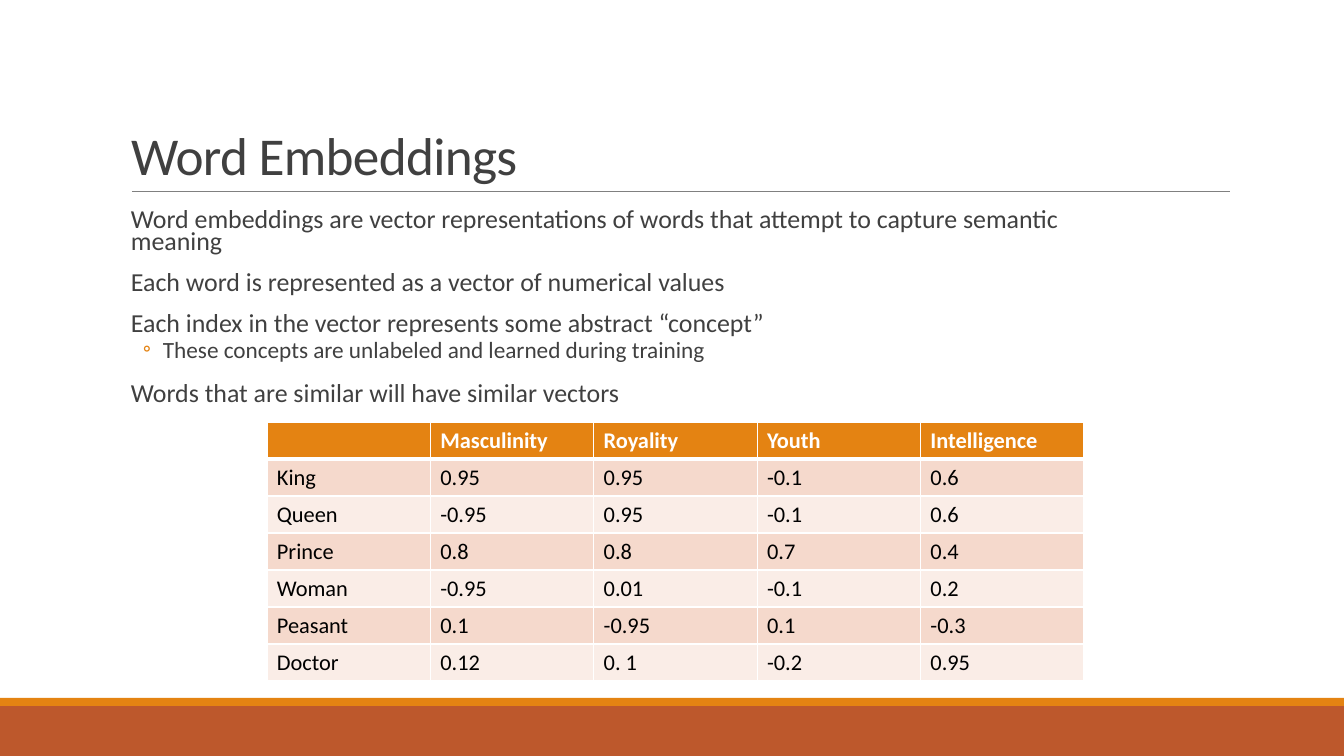
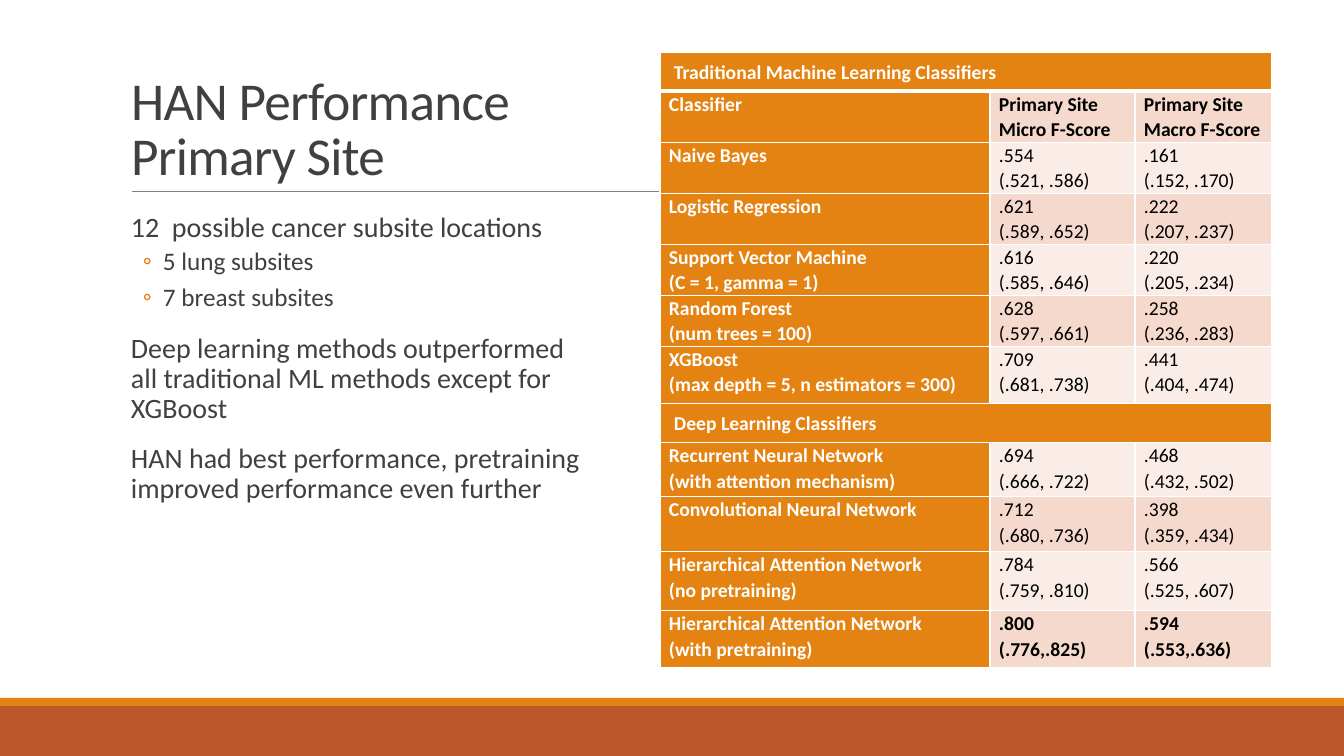
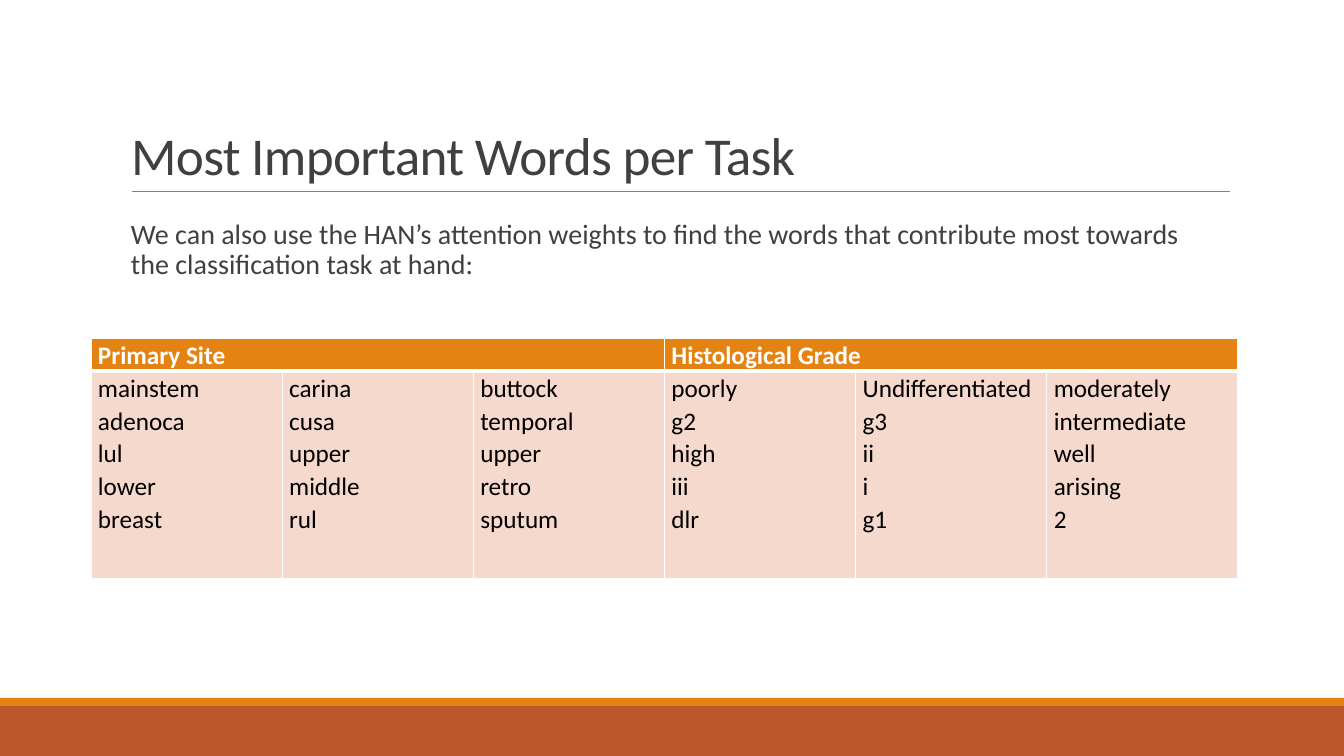
from lxml import etree
from pptx import Presentation
from pptx import util as u
from pptx.dml.color import RGBColor
from pptx.enum import shapes, text
from pptx.oxml.ns import qn

SLIDE_W, SLIDE_H = 1344, 756
EMU_PER_PX = 12192000 / SLIDE_W
FONT = "Calibri"
TITLE_ONLY = 5
WHITE = RGBColor(0xFF, 0xFF, 0xFF)
BLACK = RGBColor(0, 0, 0)
INK = RGBColor(0x40, 0x40, 0x40)
GRAY = RGBColor(0x80, 0x80, 0x80)
ORANGE = RGBColor(0xE4, 0x83, 0x12)
RUST = RGBColor(0xBD, 0x58, 0x2C)
ROW_TINTS = (RGBColor(0xFA, 0xED, 0xE7), RGBColor(0xF5, 0xD9, 0xCC))

EMBEDDING_POINTS = [
    (0, "Word embeddings are vector representations of words that attempt to capture semantic meaning"),
    (0, "Each word is represented as a vector of numerical values"),
    (0, "Each index in the vector represents some abstract “concept”"),
    (1, "These concepts are unlabeled and learned during training"),
    (0, "Words that are similar will have similar vectors"),
]
EMBEDDING_ROWS = [
    ["", "Masculinity", "Royality", "Youth", "Intelligence"],
    ["King", "0.95", "0.95", "-0.1", "0.6"],
    ["Queen", "-0.95", "0.95", "-0.1", "0.6"],
    ["Prince", "0.8", "0.8", "0.7", "0.4"],
    ["Woman", "-0.95", "0.01", "-0.1", "0.2"],
    ["Peasant", "0.1", "-0.95", "0.1", "-0.3"],
    ["Doctor", "0.12", "0. 1", "-0.2", "0.95"],
]
PERFORMANCE_POINTS = [
    (0, "12  possible cancer subsite locations"),
    (1, "5 lung subsites"),
    (1, "7 breast subsites"),
    (0, "Deep learning methods outperformed all traditional ML methods except for XGBoost"),
    (0, "HAN had best performance, pretraining improved performance even further"),
]
PERFORMANCE_ROWS = [
    ["Traditional Machine Learning Classifiers", None, None],
    ["Classifier", "Primary Site\nMicro F-Score", "Primary Site\nMacro F-Score"],
    ["Naive Bayes", ".554\n(.521, .586)", ".161\n(.152, .170)"],
    ["Logistic Regression", ".621\n(.589, .652)", ".222\n(.207, .237)"],
    ["Support Vector Machine\n(C = 1, gamma = 1)", ".616\n(.585, .646)", ".220\n(.205, .234)"],
    ["Random Forest\n(num trees = 100)", ".628\n(.597, .661)", ".258\n(.236, .283)"],
    ["XGBoost\n(max depth = 5, n estimators = 300)", ".709\n(.681, .738)", ".441\n(.404, .474)"],
    ["Deep Learning Classiﬁers", None, None],
    ["Recurrent Neural Network\n(with attention mechanism)", ".694\n(.666, .722)", ".468\n(.432, .502)"],
    ["Convolutional Neural Network", ".712\n(.680, .736)", ".398\n(.359, .434)"],
    ["Hierarchical Attention Network\n(no pretraining)", ".784\n(.759, .810)", ".566\n(.525, .607)"],
    ["Hierarchical Attention Network\n(with pretraining)", ".800\n(.776,.825)", ".594\n(.553,.636)"],
]
TASK_POINTS = [
    (0, "We can also use the HAN’s attention weights to find the words that contribute most "
        "towards the classification task at hand:"),
]
TASK_ROWS = [
    ["Primary Site", None, None, "Histological Grade", None, None],
    ["mainstem\nadenoca\nlul\nlower\nbreast",
     "carina\ncusa\nupper\nmiddle\nrul",
     "buttock\ntemporal\nupper\nretro\nsputum",
     "poorly\ng2\nhigh\niii\ndlr",
     "Undifferentiated\ng3\nii\ni\ng1",
     "moderately\nintermediate\nwell\narising\n2"],
]


def px(length):
    """Turn pixels into EMU."""
    return u.Emu(round(length * EMU_PER_PX))


def add_run(paragraph, words, size, color, bold=False):
    """Append one formatted run and return it."""
    run = paragraph.add_run()
    run.text = words
    run.font.name = FONT
    run.font.size = u.Pt(size)
    run.font.bold = bold
    run.font.color.rgb = color
    return run


def add_band(slide, top, height, color):
    """Draw a full-width footer band."""
    band = slide.shapes.add_shape(shapes.MSO_SHAPE.RECTANGLE, 0, px(top), px(SLIDE_W), px(height))
    band.shadow.inherit = False
    band.fill.solid()
    band.fill.fore_color.rgb = color
    band.line.fill.background()


def add_title_rule(slide):
    """Draw the thin line below the title."""
    rule = slide.shapes.add_connector(shapes.MSO_CONNECTOR.STRAIGHT, px(132), px(191), px(1230), px(191))
    rule.line.color.rgb = GRAY
    rule.line.width = u.Pt(0.5)
    etree.SubElement(rule._element.spPr, qn("a:effectLst"))


def set_title(slide, heading):
    """Place and format the title placeholder."""
    title = slide.shapes.title
    title.left, title.top, title.width, title.height = px(121), px(31), px(1109), px(160)
    frame = title.text_frame
    frame.auto_size = text.MSO_AUTO_SIZE.NONE
    frame.vertical_anchor = text.MSO_ANCHOR.BOTTOM
    paragraph = frame.paragraphs[0]
    paragraph.alignment = text.PP_ALIGN.LEFT
    paragraph.line_spacing = 0.85
    for number, line in enumerate(heading.split("\n")):
        if number:
            paragraph.add_line_break()
        run = add_run(paragraph, line, 38, INK)
        run._r.get_or_add_rPr().set("spc", "-50")


def add_slide(deck, heading):
    """Add a slide with the shared bands, rule and title."""
    slide = deck.slides.add_slide(deck.slide_layouts[TITLE_ONLY])
    add_band(slide, 706, 50, RUST)
    add_band(slide, 698, 8, ORANGE)
    add_title_rule(slide)
    set_title(slide, heading)
    return slide


def indent_paragraph(paragraph, level):
    """Set the indent of a level, with a ring bullet on the second."""
    properties = paragraph._p.get_or_add_pPr()
    properties.set("marL", str(px(42 if level else 10)))
    properties.set("indent", str(px(-20 if level else 0)))
    if level:
        bullet_color = etree.SubElement(properties, qn("a:buClr"))
        etree.SubElement(bullet_color, qn("a:srgbClr"), val=str(ORANGE))
        etree.SubElement(properties, qn("a:buFont"), typeface=FONT)
        etree.SubElement(properties, qn("a:buChar"), char="◦")


def add_points(slide, box, points, sizes=(20, 18), spacing=0.9):
    """Add the body text as (level, words) points."""
    frame = slide.shapes.add_textbox(*map(px, box)).text_frame
    frame.word_wrap = True
    frame.margin_left = frame.margin_right = 0
    for number, (level, words) in enumerate(points):
        paragraph = frame.add_paragraph() if number else frame.paragraphs[0]
        indent_paragraph(paragraph, level)
        paragraph.line_spacing = spacing
        if number:
            paragraph.space_before = u.Pt(2 if level else 12)
        paragraph.space_after = u.Pt(4 if level else 2)
        add_run(paragraph, words, sizes[level], INK)


def set_borders(cell, row):
    """Draw white cell borders, thick below the first row."""
    properties = cell._tc.get_or_add_tcPr()
    widths = {"lnL": 1, "lnR": 1, "lnT": 3 if row == 1 else 1, "lnB": 3 if row == 0 else 1}
    for side, width in widths.items():
        line = etree.SubElement(properties, qn("a:" + side), w=str(u.Pt(width)))
        fill = etree.SubElement(line, qn("a:solidFill"))
        etree.SubElement(fill, qn("a:srgbClr"), val=str(WHITE))


def fill_cell(cell, words, size, color, bold, spacing, margins):
    """Write the lines of a cell as paragraphs."""
    cell.margin_left = cell.margin_right = px(margins[0])
    cell.margin_top = cell.margin_bottom = px(margins[1])
    for number, line in enumerate(words.split("\n")):
        frame = cell.text_frame
        paragraph = frame.add_paragraph() if number else frame.paragraphs[0]
        paragraph.line_spacing = spacing
        if line:
            add_run(paragraph, line, size, color, bold)
        else:
            etree.SubElement(paragraph._p, qn("a:endParaRPr"), sz=str(size * 100))


def add_grid(slide, corner, widths, heights, rows, size, spacing=1.07, margins=(9, 0),
             section_margins=None, header_rows=(0,), bold_rows=(), label_column=False):
    """Add a table; None joins a cell to the one on its left."""
    frame = slide.shapes.add_table(len(rows), len(widths), *map(px, (*corner, sum(widths), sum(heights))))
    table = frame.table
    table.horz_banding = False
    for column, width in zip(table.columns, widths):
        column.width = px(width)
    for table_row, height in zip(table.rows, heights):
        table_row.height = px(height)
    for r, row in enumerate(rows):
        for c, words in enumerate(row):
            cell = table.cell(r, c)
            header = r in header_rows or (label_column and c == 0)
            set_borders(cell, r)
            cell.fill.solid()
            cell.fill.fore_color.rgb = ORANGE if header else ROW_TINTS[r % 2]
            if words is None:
                continue
            last = c
            while last + 1 < len(row) and row[last + 1] is None:
                last += 1
            if last > c:
                cell.merge(table.cell(r, last))
            insets = section_margins if section_margins and r in header_rows else margins
            fill_cell(cell, words, size, WHITE if header else BLACK,
                      header or r in bold_rows, spacing, insets)


def build_embeddings(deck):
    """Build the slide on word embeddings."""
    slide = add_slide(deck, "Word Embeddings")
    add_points(slide, (121, 206, 1001, 224), EMBEDDING_POINTS, sizes=(18.5, 16.6), spacing=0.7)
    add_grid(slide, (267, 422), [817 / 5] * 5, [37] * 7, EMBEDDING_ROWS, 16,
             spacing=1.0, margins=(10, 5))


def build_performance(deck):
    """Build the slide comparing classifiers."""
    slide = add_slide(deck, "HAN Performance\nPrimary Site")
    add_points(slide, (121, 208, 471, 494), PERFORMANCE_POINTS)
    heights = [39] + [51] * 5 + [57, 38, 54, 55, 59, 57]
    add_grid(slide, (660, 52), [330, 145, 137], heights, PERFORMANCE_ROWS, 14,
             section_margins=(14, 7), header_rows=(0, 7), bold_rows=(1, 11), label_column=True)


def build_task_words(deck):
    """Build the slide of important words."""
    slide = add_slide(deck, "Most Important Words per Task")
    add_points(slide, (121, 215, 1087, 108), TASK_POINTS)
    add_grid(slide, (91, 338), [1147 / 6] * 6, [33, 208], TASK_ROWS, 18, margins=(7, 0))


def main():
    """Build and save the deck."""
    deck = Presentation()
    deck.slide_width, deck.slide_height = px(SLIDE_W), px(SLIDE_H)
    build_embeddings(deck)
    build_performance(deck)
    build_task_words(deck)
    deck.save("out.pptx")


if __name__ == "__main__":
    main()
